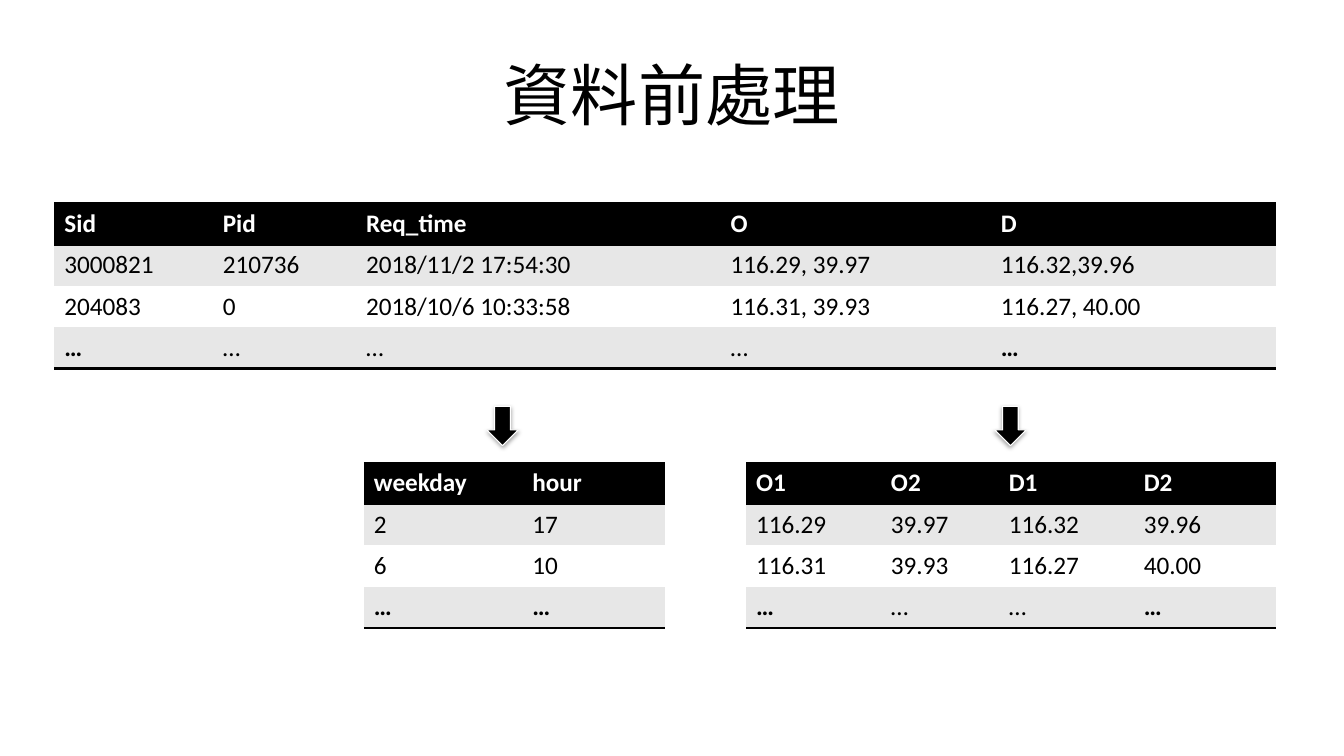
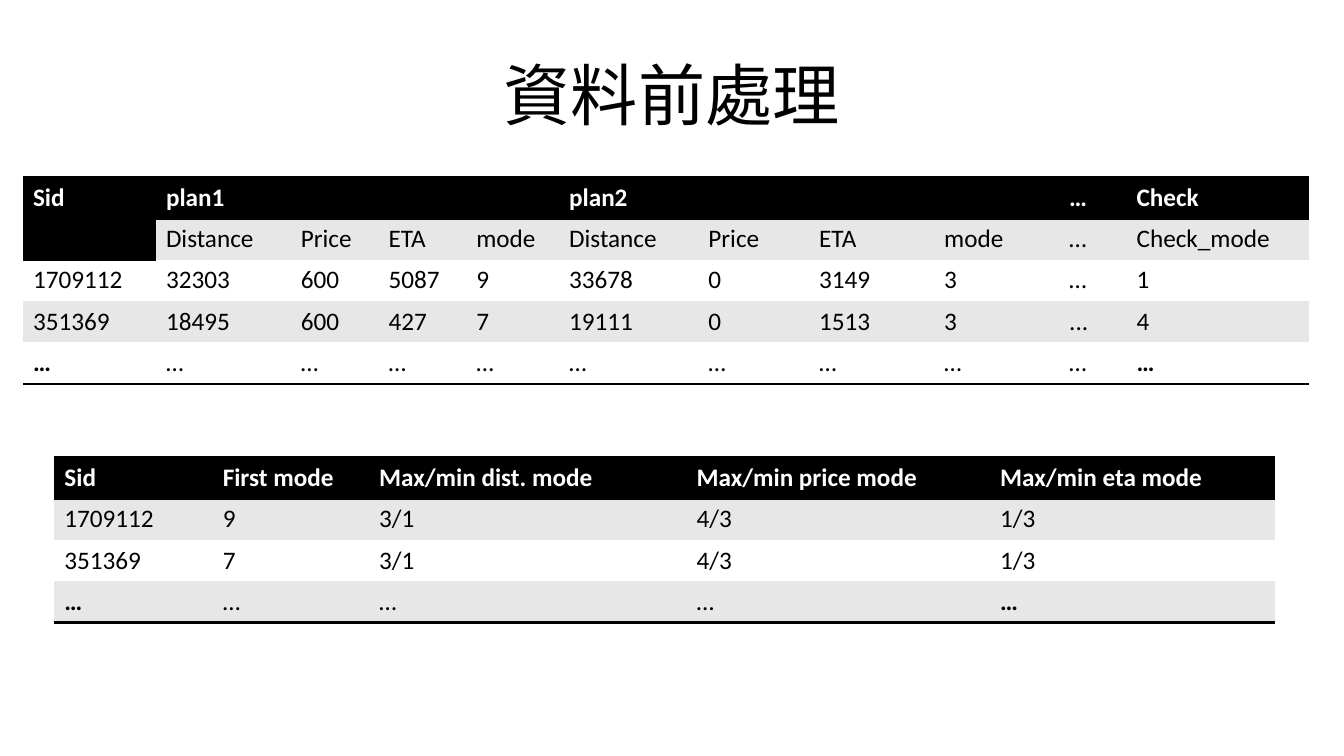
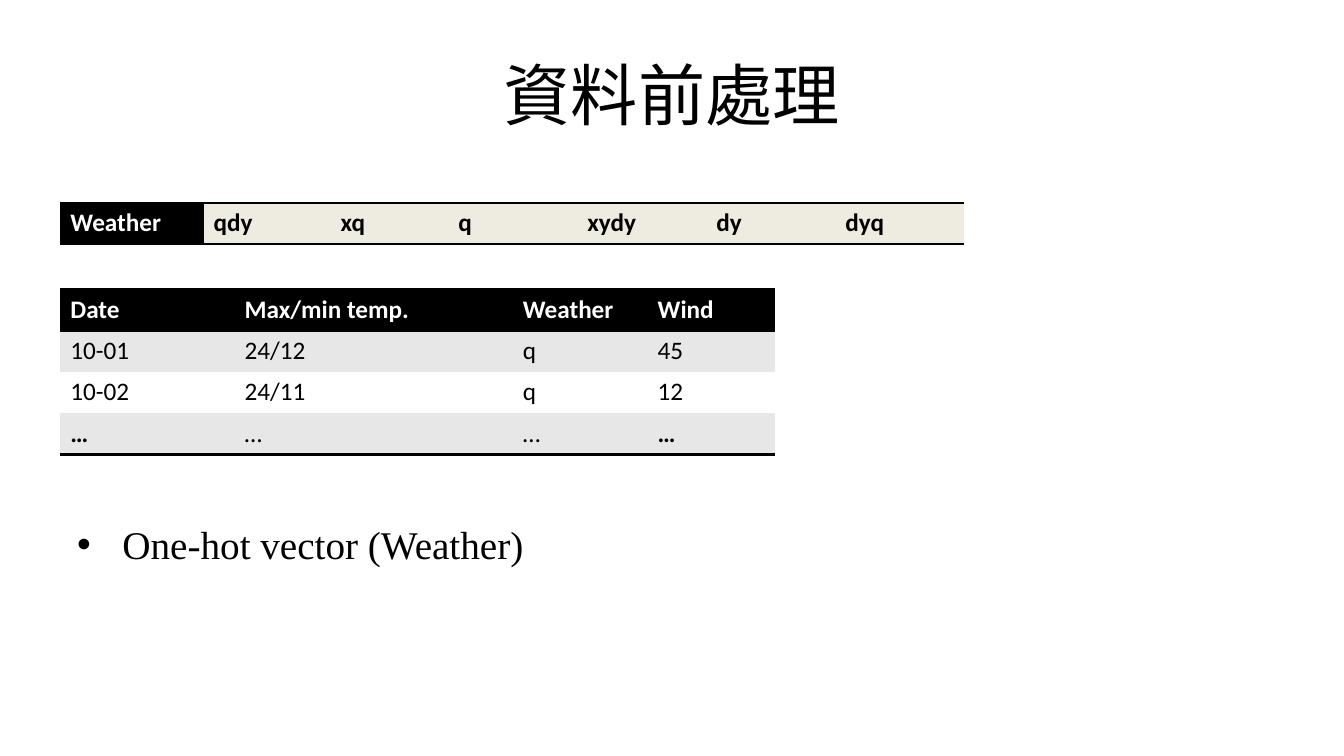
from lxml.etree import SubElement
from pptx import Presentation
from pptx.dml.color import RGBColor
from pptx.enum.shapes import MSO_SHAPE as SHAPE
from pptx.enum.text import MSO_ANCHOR as ANCHOR, MSO_AUTO_SIZE as AUTO, PP_ALIGN as ALIGN
from pptx.oxml.ns import qn
from pptx.util import Cm, Pt

BLACK, WHITE, BAND, CREAM = "000000", "FFFFFF", "E7E7E7", "EEECE1"
TITLE, TITLE_AT = "資料前處理", (1.69, 0.76, 30.48, 3.18)
TITLE_FONT = {"name": "Times New Roman", "size": Pt(48), "bold": False}
BODY_FONT = {"name": "Times New Roman", "size": Pt(28), "bold": False}
CELL_FONT = {"name": "Calibri", "size": Pt(18)}
TITLE_AND_BODY, TITLE_ONLY = 1, 5
ROW_H, RULE_W = 1.04, Pt(2)
PLAIN_TABLE = "{2D5ABB26-0587-4C30-8999-92F81FD0307C}"


def rgb(color):
    """Turn a hex string into a colour."""
    return RGBColor.from_string(color)


def node(parent, tag, **attrs):
    """Add an XML child with the given attributes."""
    return SubElement(parent, qn(tag), {k: str(v) for k, v in attrs.items()})


def set_all(obj, values):
    """Set every attribute named in a dict."""
    for name, value in values.items():
        setattr(obj, name, value)


def paint(sp, color):
    """Fill a shape or cell with a solid colour."""
    sp.fill.solid()
    sp.fill.fore_color.rgb = rgb(color)


def write(p, text, font, color=BLACK):
    """Add one formatted run to a paragraph."""
    r = p.add_run()
    r.text = text
    set_all(r.font, font)
    r.font.color.rgb = rgb(color)


def place(sp, at):
    """Move and size a placeholder, in centimetres."""
    set_all(sp, dict(zip(("left", "top", "width", "height"), map(Cm, at))))


def new_slide(prs, layout=TITLE_ONLY):
    """Add a slide with the shared title."""
    s = prs.slides.add_slide(prs.slide_layouts[layout])
    sp = s.shapes.title
    place(sp, TITLE_AT)
    tf = sp.text_frame
    set_all(tf, {"vertical_anchor": ANCHOR.MIDDLE, "auto_size": AUTO.NONE})
    p = tf.paragraphs[0]
    p.alignment = ALIGN.CENTER
    write(p, TITLE, TITLE_FONT)
    return s


def rule(cell, side):
    """Draw a black line along one side of a cell."""
    ln = node(cell._tc.get_or_add_tcPr(), side, w=RULE_W)
    node(node(ln, "a:solidFill"), "a:srgbClr", val=BLACK)


def add_table(s, at, cols, rows, merges=(), tint=None):
    """Add a banded table; tint colours the header cells after the first."""
    frame = s.shapes.add_table(len(rows), len(cols), Cm(at[0]), Cm(at[1]),
                               Cm(sum(cols)), Cm(ROW_H * len(rows)))
    tbl = frame.table
    tbl._tbl.tblPr.find(qn("a:tableStyleId")).text = PLAIN_TABLE
    for col, width in zip(tbl.columns, cols):
        col.width = Cm(width)
    for row in tbl.rows:
        row.height = Cm(ROW_H)
    for start, end in merges:
        tbl.cell(*start).merge(tbl.cell(*end))
    last_row, last_col = len(rows) - 1, len(cols) - 1
    for i, texts in enumerate(rows):
        for j, text in enumerate(texts):
            cell = tbl.cell(i, j)
            header = i == 0
            tinted = header and j > 0 and tint is not None
            if header:
                rule(cell, "a:lnT")
            if header or i == last_row:
                rule(cell, "a:lnB")
            if tinted:
                paint(cell, tint)
            else:
                paint(cell, BLACK if header else BAND if i % 2 else WHITE)
            if text:
                bold = header or (i == last_row and j in (0, last_col))
                write(cell.text_frame.paragraphs[0], text, {**CELL_FONT, "bold": bold},
                      WHITE if header and not tinted else BLACK)


def add_arrow(s, left, top):
    """Add a black down arrow with a white edge and a soft shadow."""
    sp = s.shapes.add_shape(SHAPE.DOWN_ARROW, Cm(left), Cm(top), Cm(0.79), Cm(0.99))
    paint(sp, BLACK)
    sp.line.color.rgb = rgb(WHITE)
    sp.line.width = Pt(0.75)
    sp.shadow.inherit = False
    effects = sp._element.spPr.find(qn("a:effectLst"))
    shadow = node(effects, "a:outerShdw", blurRad=Pt(3.1), dist=Pt(1.8),
                  dir=5400000, rotWithShape=0)
    node(node(shadow, "a:srgbClr", val=BLACK), "a:alpha", val=35000)


def add_bullets(s, at, items):
    """Fill the body placeholder with a bulleted list."""
    sp = s.placeholders[1]
    place(sp, at)
    tf = sp.text_frame
    set_all(tf, {"margin_top": Cm(1.6), "vertical_anchor": ANCHOR.TOP,
                 "auto_size": AUTO.NONE})
    for i, text in enumerate(items):
        p = tf.add_paragraph() if i else tf.paragraphs[0]
        p.space_before = Pt(0)
        pPr = p._p.get_or_add_pPr()
        pPr.set("marL", str(Cm(1.14)))
        pPr.set("indent", str(-Cm(1.14)))
        node(pPr, "a:buFont", typeface="Arial")
        node(pPr, "a:buChar", char="•")
        write(p, text, BODY_FONT)


def request_slide(prs):
    """Show how requests split into time and place features."""
    s = new_slide(prs)
    add_table(s, (1.37, 5.13), (3.99, 3.61, 9.19, 6.81, 7.19), [
        ("Sid", "Pid", "Req_time", "O", "D"),
        ("3000821", "210736", "2018/11/2 17:54:30", "116.29, 39.97", "116.32,39.96"),
        ("204083", "0", "2018/10/6 10:33:58", "116.31, 39.93", "116.27, 40.00"),
        ("…",) * 5])
    add_table(s, (9.17, 11.66), (3.99, 3.61), [
        ("weekday", "hour"), ("2", "17"), ("6", "10"), ("…",) * 2])
    add_table(s, (18.8, 11.66), (3.4, 2.97, 3.4, 3.58), [
        ("O1", "O2", "D1", "D2"),
        ("116.29", "39.97", "116.32", "39.96"),
        ("116.31", "39.93", "116.27", "40.00"),
        ("…",) * 4])
    for left in (12.27, 25.07):
        add_arrow(s, left, 10.24)


def plan_slide(prs):
    """Show the plans and the mode features taken from them."""
    s = new_slide(prs)
    fields = ("Distance", "Price", "ETA", "mode")
    add_table(s, (0.58, 4.47),
              (3.35, 3.4, 2.21, 2.21, 2.34, 3.51, 2.79, 3.15, 3.15, 1.7, 4.6), [
        ("Sid", "plan1", "", "", "", "plan2", "", "", "", "…", "Check"),
        ("", *fields, *fields, "…", "Check_mode"),
        ("1709112", "32303", "600", "5087", "9", "33678", "0", "3149", "3", "…", "1"),
        ("351369", "18495", "600", "427", "7", "19111", "0", "1513", "3", "...", "4"),
        ("…",) * 11],
        merges=[((0, 0), (1, 0)), ((0, 1), (0, 4)), ((0, 5), (0, 8))])
    add_table(s, (1.37, 11.53), (3.99, 3.94, 8, 7.65, 7.19), [
        ("Sid", "First mode", "Max/min dist. mode", "Max/min price mode",
         "Max/min eta mode"),
        ("1709112", "9", "3/1", "4/3", "1/3"),
        ("351369", "7", "3/1", "4/3", "1/3"),
        ("…",) * 5])


def weather_slide(prs):
    """Show the weather data and its encoding."""
    s = new_slide(prs, TITLE_AND_BODY)
    add_table(s, (1.52, 7.29), (4.39, 7.01, 3.4, 3.2), [
        ("Date", "Max/min temp.", "Weather", "Wind"),
        ("10-01", "24/12", "q", "45"),
        ("10-02", "24/11", "q", "12"),
        ("…",) * 4])
    add_table(s, (1.52, 5.11), (3.61, 3.2, 2.97) + (3.25,) * 4,
              [("Weather", "qdy", "xq", "q", "xydy", "dy", "dyq")], tint=CREAM)
    add_bullets(s, (1.69, 11.51, 30.48, 5.82), ["One-hot vector (Weather)"])


def main():
    """Build and save the presentation."""
    prs = Presentation()
    set_all(prs, {"slide_width": Cm(33.87), "slide_height": Cm(19.05)})
    for build in (request_slide, plan_slide, weather_slide):
        build(prs)
    prs.save("out.pptx")


main()
